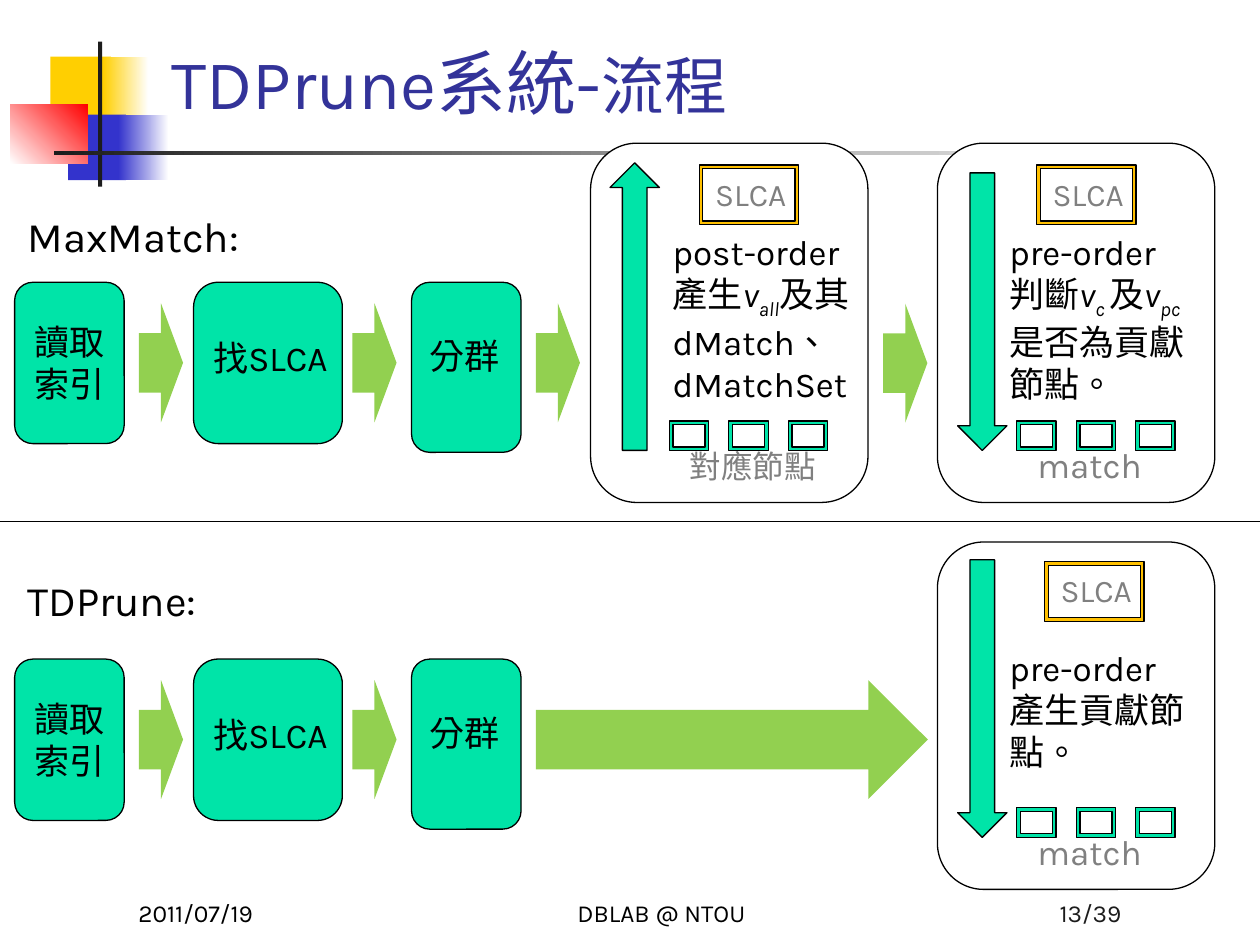
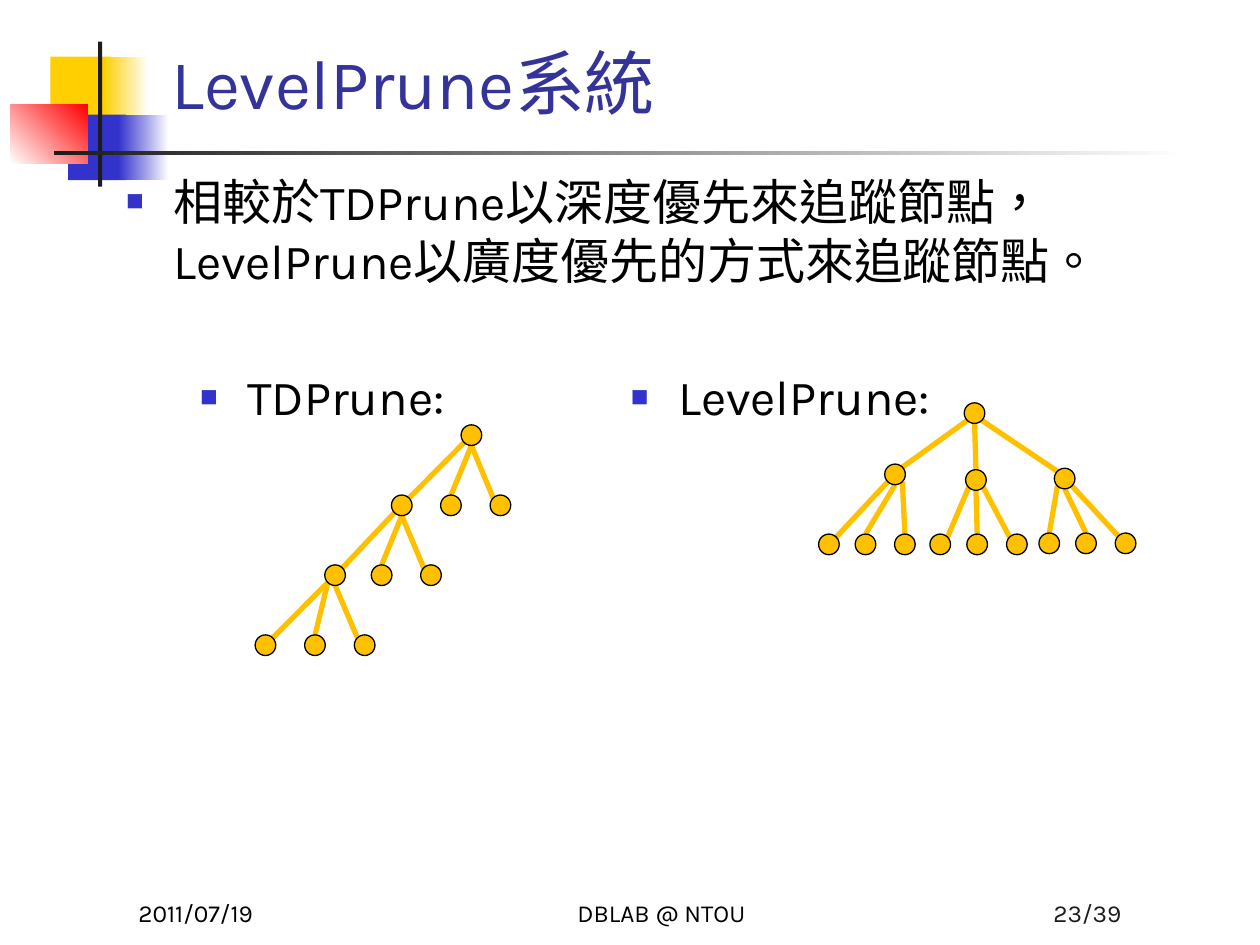
from lxml.etree import SubElement
from pptx import Presentation
from pptx.dml.color import RGBColor
from pptx.enum.shapes import MSO_CONNECTOR, MSO_SHAPE
from pptx.enum.text import MSO_ANCHOR, MSO_AUTO_SIZE, PP_ALIGN
from pptx.oxml.ns import qn
from pptx.util import Pt

BLACK = RGBColor(0, 0, 0)
WHITE = RGBColor(255, 255, 255)
CHARCOAL = RGBColor(0x1C, 0x1C, 0x1C)
GRAY = RGBColor(0x80, 0x80, 0x80)
YELLOW = RGBColor(0xFF, 0xCF, 0x01)
BLUE = RGBColor(0x33, 0x33, 0xCC)
RED = RGBColor(255, 0, 0)
TITLE_BLUE = RGBColor(0x33, 0x33, 0x99)
MINT = RGBColor(0x00, 0xE4, 0xA8)
GREEN = RGBColor(0x92, 0xD0, 0x50)
AMBER = RGBColor(0xFF, 0xC0, 0x00)
LATIN, CHINESE = "Karla", "Noto Sans CJK SC"

DECORATIONS = [
    ((28.8, 32.4, 34.6, 37.4), YELLOW, None, 0),
    ((59, 32.4, 25.9, 37.4), YELLOW, WHITE, 0),
    ((38.9, 65.5, 33.1, 37.4), BLUE, None, 0),
    ((67.7, 65.5, 28.8, 37.4), BLUE, WHITE, 0),
    ((5.8, 59.8, 44.4, 33.5), WHITE, RED, 45),
    ((56, 23.8, 2.4, 82.8), CHARCOAL, None, 0),
    ((31, 86.2, 648, 2.4), CHARCOAL, WHITE, 0),
]
DATE, FOOTER = "2011/07/19", "DBLAB @ NTOU"

FLOWS = [
    {"name": "MaxMatch:", "label_top": 116.6, "top": 161.3, "arrow_width": 25.2},
    {"name": "TDPrune:", "label_top": 324.7, "top": 376.6, "arrow_width": 224},
]
STEPS = [
    ("讀取\n索引", 8.4, 62.6, 92.2, CHINESE),
    ("找SLCA", 110.6, 85, 92.2, LATIN),
    ("分群", 235.2, 62.6, 97.2, LATIN),
]
PANELS = [
    {"box": (337.5, 81.8, 158.5, 205.3), "slca": (399.6, 94.3),
     "arrow": (MSO_SHAPE.UP_ARROW, 348.6, 93.1, 164.3),
     "text": (377.3, 128.2, 129), "frames": (382.5, 240.6),
     "caption": ("對應節點", CHINESE, 18, 387.2, 252),
     "lines": [[("post-order產生", ""), ("v", "i"), ("all", "s"), ("及其dMatch、dMatchSet", "")]]},
    {"box": (535.7, 81.8, 158.5, 205.3), "slca": (592.4, 94.3),
     "arrow": (MSO_SHAPE.DOWN_ARROW, 547.2, 98.8, 158.6),
     "text": (569.7, 128.2, 124.6), "frames": (581, 240.6),
     "caption": ("match", LATIN, 20, 585.7, 250),
     "lines": [[("pre-order", "")],
               [("判斷", ""), ("v", "i"), ("c ", "s"), ("及", ""), ("v", "i"), ("pc", "s"),
                ("是否為貢獻節點。", "")]]},
    {"box": (535.7, 309.7, 158.5, 198.5), "slca": (597, 321),
     "arrow": (MSO_SHAPE.DOWN_ARROW, 547.2, 319.9, 158.6),
     "text": (569.7, 365.8, 124.6), "frames": (581, 461.6),
     "caption": ("match", LATIN, 20, 585.7, 471),
     "lines": [[("pre-order", "")], [("產生貢獻節點。", "")]]},
]

BODY = "相較於TDPrune以深度優先來追蹤節點，LevelPrune以廣度優先的方式來追蹤節點。"
TREE_LABELS = [("TDPrune:", 107.3, 162), ("LevelPrune:", 353.5, 205)]
DEPTH_LINKS = [("bottom left", "top right"), ("bottom", "top"), ("bottom", "top left")]
FAN_LINKS = [("bottom left", "top right"), ("bottom", "top"), ("bottom right", "top left")]
LEFT_LINKS = FAN_LINKS[:2] + [("bottom right", "top")]
RIGHT_LINKS = [("bottom left", "top")] + FAN_LINKS[1:]
LAST_LINKS = [("bottom left", "top right"), ("bottom left", "top"), ("bottom", "top left")]
FAMILIES = [
    ((263.5, 242.8), 282.9, (223.7, 251.8, 280.1), DEPTH_LINKS),
    ((223.7, 282.9), 322.8, (185.6, 212.2, 240.4), DEPTH_LINKS),
    ((185.6, 322.8), 362.8, (145.8, 174.1, 202.5), LAST_LINKS),
    ((551, 230.2), 265.2, (505.6,), FAN_LINKS[:1]),
    ((551, 230.2), 268.4, (551.8,), FAN_LINKS[1:2]),
    ((551, 230.2), 267.6, (602.5,), FAN_LINKS[2:]),
    ((505.6, 265.2), 305.2, (467.8, 488.7, 511.2), LEFT_LINKS),
    ((551.8, 268.4), 305.2, (531.4, 552.5, 575.2), FAN_LINKS),
    ((602.5, 267.6), 304.6, (593.7, 614.7, 637.3), RIGHT_LINKS),
]
NODE = 11.8
SITES = {
    "top": (0.5, 0), "bottom": (0.5, 1),
    "top left": (0.15, 0.15), "top right": (0.85, 0.15),
    "bottom left": (0.15, 0.85), "bottom right": (0.85, 0.85),
}


def points(*values):
    return [Pt(value) for value in values]


def add_block(slide, kind, box, fill, outline=True):
    shape = slide.shapes.add_shape(kind, *points(*box))
    shape.shadow.inherit = False
    shape.fill.solid()
    shape.fill.fore_color.rgb = fill
    if outline:
        shape.line.color.rgb = BLACK
        shape.line.width = Pt(0.75)
    else:
        shape.line.fill.background()
    return shape


def add_line(slide, start, end, color, width):
    line = slide.shapes.add_connector(MSO_CONNECTOR.STRAIGHT, *points(*start, *end))
    line.line.color.rgb = color
    line.line.width = Pt(width)
    SubElement(line.element.spPr, qn("a:effectLst"))


def add_bullet(paragraph):
    properties = paragraph._p.get_or_add_pPr()
    properties.set("marL", str(Pt(27)))
    properties.set("indent", str(Pt(-27)))
    color = SubElement(properties, qn("a:buClr"))
    SubElement(color, qn("a:srgbClr")).set("val", str(BLUE))
    SubElement(properties, qn("a:buSzPct")).set("val", "60000")
    SubElement(properties, qn("a:buFont")).set("typeface", "Arial")
    SubElement(properties, qn("a:buChar")).set("char", "■")


def write(shape, lines, size, color=BLACK, font=LATIN, align=PP_ALIGN.LEFT,
          anchor=MSO_ANCHOR.TOP, wrap=True, before=0, bullet=False):
    frame = shape.text_frame
    frame.auto_size = MSO_AUTO_SIZE.NONE
    frame.word_wrap = wrap
    frame.vertical_anchor = anchor
    for index, line in enumerate(lines):
        paragraph = frame.add_paragraph() if index else frame.paragraphs[0]
        paragraph.alignment = align
        paragraph.space_before = Pt(before)
        if bullet:
            add_bullet(paragraph)
        paragraph.font.name = font
        paragraph.font.size = Pt(size)
        paragraph.font.color.rgb = color
        paragraph.font._element.set("lang", "zh-TW")
        for text, style in [(line, "")] if isinstance(line, str) else line:
            if "\n" in text:
                paragraph.text = text
                continue
            run = paragraph.add_run()
            run.text = text
            run.font._element.set("lang", "zh-TW")
            if style:
                run.font.italic = True
            if style == "s":
                run.font._element.set("baseline", "-25000")
    return frame


def add_text(slide, box, lines, size, **options):
    write(slide.shapes.add_textbox(*points(*box)), lines, size, **options)


def place(shape, box):
    shape.left, shape.top, shape.width, shape.height = points(*box)


def decorate_master(presentation, slide):
    tree = presentation.slide_master.shapes.element
    for number, (box, first, last, angle) in enumerate(DECORATIONS, 100):
        shape = add_block(slide, MSO_SHAPE.RECTANGLE, box, first, outline=False)
        if last is not None:
            shape.fill.gradient()
            shape.fill.gradient_angle = angle
            for stop, color in zip(shape.fill.gradient_stops, (first, last)):
                stop.color.rgb = color
        shape.element.nvSpPr.cNvPr.set("id", str(number))
        tree.append(shape.element)


def add_slide(presentation, layout, title, page):
    slide = presentation.slides.add_slide(presentation.slide_layouts[layout])
    place(slide.shapes.title, (90.7, 12.2, 613.4, 61.9))
    write(slide.shapes.title, [title], 40, TITLE_BLUE, anchor=MSO_ANCHOR.BOTTOM)
    for text, left, width, align, color in [
        (DATE, 72, 150, PP_ALIGN.LEFT, BLACK),
        (FOOTER, 264, 228, PP_ALIGN.CENTER, BLACK),
        (page, 498, 150, PP_ALIGN.RIGHT, CHARCOAL),
    ]:
        add_text(slide, (left, 497.5, width, 36), [text], 14, color=color,
                 align=align, anchor=MSO_ANCHOR.BOTTOM)
    return slide


def add_block_arrow(slide, left, top, width):
    add_block(slide, MSO_SHAPE.RIGHT_ARROW, (left, top, width, 68), GREEN, outline=False)


def add_flow(slide, flow):
    top = flow["top"]
    add_text(slide, (8.6, flow["label_top"], 167, 40.3), [flow["name"]], 24, before=4.8)
    for index, (text, left, width, height, font) in enumerate(STEPS):
        step = add_block(slide, MSO_SHAPE.ROUNDED_RECTANGLE, (left, top, width, height), MINT)
        if index == 0:
            write(step, [text], 20, font=font, align=PP_ALIGN.CENTER,
                  anchor=MSO_ANCHOR.MIDDLE, wrap=False)
        else:
            frame = write(step, [text], 20, font=font, wrap=False)
            frame.margin_top = Pt(27)
    for left, width in [(79.4, 25.2), (201.4, 25.2), (306.2, flow["arrow_width"])]:
        add_block_arrow(slide, left, top + 12, width)


def add_panel(slide, panel):
    add_block(slide, MSO_SHAPE.ROUNDED_RECTANGLE, panel["box"], WHITE)
    kind, left, top, height = panel["arrow"]
    add_block(slide, kind, (left, top, 28.2, height), MINT)
    slca = add_block(slide, MSO_SHAPE.FRAME, (*panel["slca"], 56.7, 34), AMBER)
    slca.adjustments[0] = 0.06
    write(slca, ["SLCA"], 18, GRAY, wrap=False)
    left, top = panel["frames"]
    for index in range(3):
        add_block(slide, MSO_SHAPE.FRAME, (left + index * 34, top, 22.5, 17), MINT)
    caption, font, size, left, top = panel["caption"]
    add_text(slide, (left, top, 92, 31), [caption], size, color=GRAY, font=font)
    left, top, width = panel["text"]
    add_text(slide, (left, top, width, 105), panel["lines"], 20)


def site(corner, name):
    return tuple(start + NODE * share for start, share in zip(corner, SITES[name]))


def add_trees(slide):
    nodes = {}
    for parent, top, lefts, links in FAMILIES:
        nodes[parent] = True
        for left, (start, end) in zip(lefts, links):
            nodes[left, top] = True
            add_line(slide, site(parent, start), site((left, top), end), AMBER, 3)
    for corner in nodes:
        add_block(slide, MSO_SHAPE.OVAL, (*corner, NODE, NODE), AMBER)


def main():
    presentation = Presentation()
    presentation.slide_width, presentation.slide_height = points(720, 540)

    process = add_slide(presentation, 5, [("TDPrune系統-", ""), ("流程", "")], "13/39")
    process.shapes.title.text_frame.paragraphs[0].runs[1].font.size = Pt(36)
    decorate_master(presentation, process)
    for flow in FLOWS:
        add_flow(process, flow)
    for panel in PANELS:
        add_panel(process, panel)
    add_block_arrow(process, 504.7, 173.5, 25.2)
    add_line(process, (0, 298), (720, 298), BLACK, 0.75)

    level = add_slide(presentation, 1, "LevelPrune系統", "23/39")
    body = level.placeholders[1]
    place(body, (64.8, 94.3, 614.9, 111.6))
    write(body, [BODY], 28, before=5.6, bullet=True)
    for text, left, width in TREE_LABELS:
        add_text(level, (left, 206, width, 49), [text], 28, before=5.6, bullet=True)
    add_trees(level)

    presentation.save("out.pptx")


if __name__ == "__main__":
    main()
